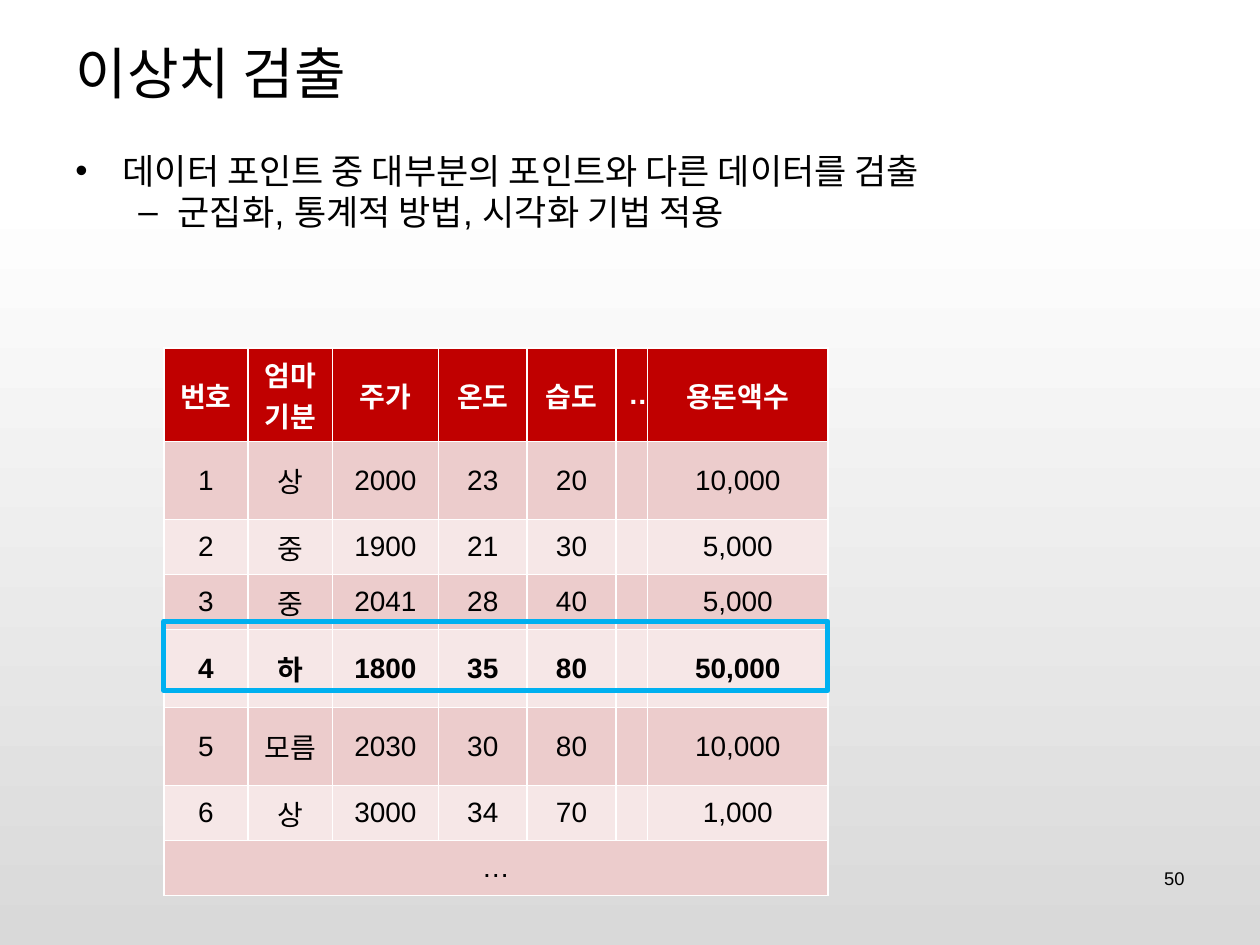
"""Build the slide on outlier detection with its allowance table."""
from lxml import etree
from pptx import Presentation
from pptx.dml.color import RGBColor
from pptx.enum.shapes import MSO_SHAPE
from pptx.enum.text import MSO_ANCHOR, MSO_AUTO_SIZE, PP_ALIGN
from pptx.oxml.ns import qn
from pptx.util import Pt

RECTANGLE = MSO_SHAPE.RECTANGLE
MIDDLE, TOP = MSO_ANCHOR.MIDDLE, MSO_ANCHOR.TOP
NO_FIT = MSO_AUTO_SIZE.NONE
LEFT, CENTER, RIGHT = PP_ALIGN.LEFT, PP_ALIGN.CENTER, PP_ALIGN.RIGHT

BLACK = RGBColor(0x00, 0x00, 0x00)
WHITE = RGBColor(0xFF, 0xFF, 0xFF)
GRAY = RGBColor(0xD9, 0xD9, 0xD9)
RED = RGBColor(0xC0, 0x00, 0x00)
PINK = RGBColor(0xEC, 0xCC, 0xCC)
PALE_PINK = RGBColor(0xF6, 0xE7, 0xE7)
BLUE = RGBColor(0x00, 0xB0, 0xF0)

LATIN_FONT = "Arial"
KOREAN_FONT = "Noto Sans CJK KR"

BULLETS = [
    ("•", 0, 27, -27, 0, "데이터 포인트 중 대부분의 포인트와 다른 데이터를 검출"),
    ("–", 1, 58.5, -22.5, 4, "군집화, 통계적 방법, 시각화 기법 적용"),
]
ALLOWANCES = [
    ["번호", "엄마기분", "주가", "온도", "습도", "…", "용돈액수"],
    ["1", "상", "2000", "23", "20", "", "10,000"],
    ["2", "중", "1900", "21", "30", "", "5,000"],
    ["3", "중", "2041", "28", "40", "", "5,000"],
    ["4", "하", "1800", "35", "80", "", "50,000"],
    ["5", "모름", "2030", "30", "80", "", "10,000"],
    ["6", "상", "3000", "34", "70", "", "1,000"],
    ["…", "", "", "", "", "", ""],
]
COLUMN_WIDTHS = [48.2, 48.2, 60.5, 50.8, 50.6, 18.2, 103]
ROW_HEIGHTS = [45.4, 44.6, 31.4, 31.4, 44.6, 44.6, 31.4, 31.4]
OUTLIER_ROW = 4


class SlideBuilder:
    """Hold the presentation style and the current slide."""

    def __init__(self, width, height):
        """Open a title-only slide of the given size."""
        self.deck = Presentation()
        self.deck.slide_width, self.deck.slide_height = Pt(width), Pt(height)
        self.slide = self.deck.slides.add_slide(self.deck.slide_layouts[5])

    def background(self, stops):
        """Fill the background with a gradient running downwards."""
        fill = self.slide.background.fill
        fill.gradient()
        fill.gradient_angle = 270
        for stop, (position, color) in zip(fill.gradient_stops, stops):
            stop.position = position
            stop.color.rgb = color

    def add_text(self, paragraph, text, size, align=LEFT, color=BLACK,
                 bold=False, latin=LATIN_FONT):
        """Put one formatted run into a paragraph."""
        paragraph.alignment = align
        run = paragraph.add_run()
        run.text = text
        run.font.color.rgb = color
        for name, value in {"size": Pt(size), "bold": bold, "name": latin}.items():
            setattr(run.font, name, value)
        etree.SubElement(run._r.get_or_add_rPr(), qn("a:ea"), typeface=KOREAN_FONT)

    def frame(self, shape, anchor):
        """Set the wrapping and anchor of a text frame and return it."""
        values = {"word_wrap": True, "auto_size": NO_FIT, "vertical_anchor": anchor}
        for name, value in values.items():
            setattr(shape.text_frame, name, value)
        return shape.text_frame

    def title(self, text, left, top, width, height):
        """Place and format the title."""
        heading = self.slide.shapes.title
        box = {"left": left, "top": top, "width": width, "height": height}
        for name, value in box.items():
            setattr(heading, name, Pt(value))
        paragraph = self.frame(heading, MIDDLE).paragraphs[0]
        self.add_text(paragraph, text, 32, latin=KOREAN_FONT)

    def text_box(self, left, top, width, height):
        """Add an empty text box and return its frame."""
        box = self.slide.shapes.add_textbox(Pt(left), Pt(top), Pt(width), Pt(height))
        return self.frame(box, TOP)

    def bullets(self, items, left, top, width, height):
        """Add a bulleted list."""
        body = self.text_box(left, top, width, height)
        for index, (mark, level, margin, indent, gap, text) in enumerate(items):
            paragraph = body.add_paragraph() if index else body.paragraphs[0]
            properties = paragraph._p.get_or_add_pPr()
            properties.set("marL", str(Pt(margin)))
            properties.set("indent", str(Pt(indent)))
            etree.SubElement(properties, qn("a:buFont"), typeface=LATIN_FONT)
            etree.SubElement(properties, qn("a:buChar"), char=mark)
            values = {"level": level, "space_before": Pt(gap), "line_spacing": 0.8}
            for name, value in values.items():
                setattr(paragraph, name, value)
            self.add_text(paragraph, text, 20)

    def page_number(self, text, left, top, width, height):
        """Add the page number."""
        number = self.text_box(left, top, width, height)
        self.add_text(number.paragraphs[0], text, 10.5, RIGHT)

    def table(self, rows, left, top, widths, heights, bold_rows):
        """Add a table with a header, banded rows and a merged last row."""
        grid = self.slide.shapes.add_table(
            len(rows), len(widths), Pt(left), Pt(top),
            Pt(sum(widths)), Pt(sum(heights))).table
        for column, width in zip(grid.columns, widths):
            column.width = Pt(width)
        for row, height in zip(grid.rows, heights):
            row.height = Pt(height)
        for r, texts in enumerate(rows):
            band = PINK if r % 2 else PALE_PINK
            for c, text in enumerate(texts):
                cell = grid.cell(r, c)
                cell.fill.solid()
                cell.fill.fore_color.rgb = band if r else RED
                cell.vertical_anchor = MIDDLE
                if text:
                    self.add_text(cell.text_frame.paragraphs[0], text, 16, CENTER,
                                  BLACK if r else WHITE, r in bold_rows)
        last = len(rows) - 1
        grid.cell(last, 0).merge(grid.cell(last, len(widths) - 1))

    def outline(self, left, top, width, height, color):
        """Add an unfilled rectangle that marks an area."""
        marker = self.slide.shapes.add_shape(
            RECTANGLE, Pt(left), Pt(top), Pt(width), Pt(height))
        marker.shadow.inherit = False
        marker.fill.background()
        marker.line.color.rgb = color
        marker.line.width = Pt(3)


def main():
    """Build and save the slide."""
    builder = SlideBuilder(720, 540)
    builder.background([(0.2, WHITE), (1, GRAY)])
    builder.title("이상치 검출", 36, 21.6, 648, 38.9)
    builder.bullets(BULLETS, 36, 86.8, 648, 395.6)
    builder.page_number("50", 516.2, 491.8, 167.8, 37.4)
    builder.table(ALLOWANCES, 93.6, 199, COLUMN_WIDTHS, ROW_HEIGHTS,
                  (0, OUTLIER_ROW))
    builder.outline(93.6, 355, sum(COLUMN_WIDTHS), 39.6, BLUE)
    builder.deck.save("out.pptx")


if __name__ == "__main__":
    main()
